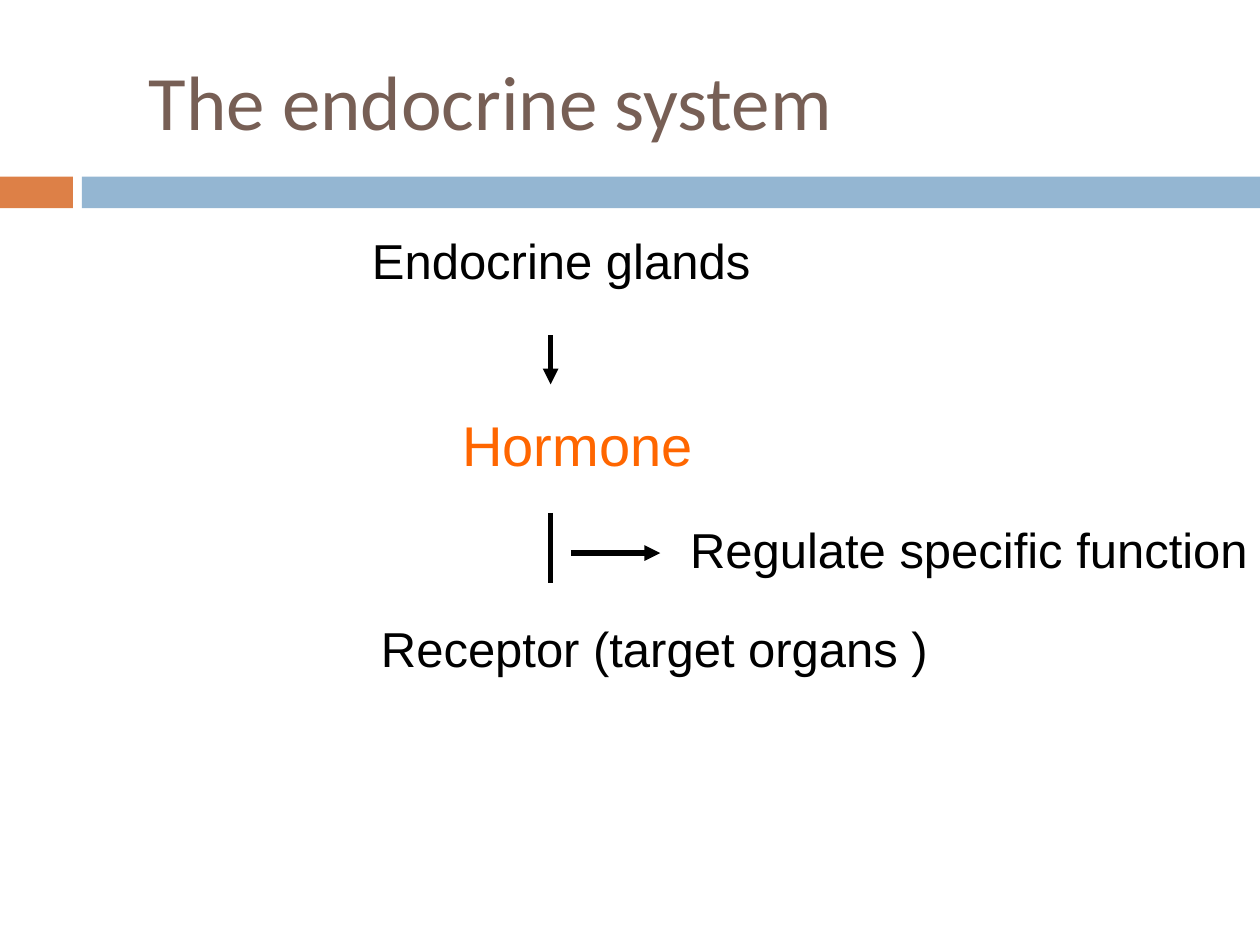
import pptx
import pptx.dml.color
import pptx.enum.shapes
import pptx.enum.text
import pptx.oxml
import pptx.oxml.ns
import pptx.util
from lxml import etree

Cm = pptx.util.Cm
RGBColor = pptx.dml.color.RGBColor
PP_ALIGN = pptx.enum.text.PP_ALIGN
MSO_ANCHOR = pptx.enum.text.MSO_ANCHOR

BROWN = RGBColor(0x77, 0x5F, 0x55)
RUST = RGBColor(0xDD, 0x80, 0x47)
BLUE = RGBColor(0x94, 0xB6, 0xD2)
ORANGE = RGBColor(0xFF, 0x66, 0x00)
BLACK = RGBColor(0x00, 0x00, 0x00)


def write_text(shape, text, alignment, font_name, size, color):
    text_frame = shape.text_frame
    text_frame.word_wrap = True
    paragraph = text_frame.paragraphs[0]
    paragraph.alignment = alignment
    run = paragraph.add_run()
    run.text = text
    run.font.name = font_name
    run.font.size = pptx.util.Pt(size)
    run.font.color.rgb = color


presentation = pptx.Presentation()
presentation.slide_width = Cm(25.4)
presentation.slide_height = Cm(19.05)
slide = presentation.slides.add_slide(presentation.slide_layouts[5])

# Band under the title
for left, width, color in [(0, 1.47, RUST), (1.65, 23.75, BLUE)]:
    bar = slide.shapes.add_shape(
        pptx.enum.shapes.MSO_SHAPE.RECTANGLE, Cm(left), Cm(3.56), Cm(width), Cm(0.64))
    bar.shadow.inherit = False
    bar.fill.solid()
    bar.fill.fore_color.rgb = color
    bar.line.fill.background()

# Title
title = slide.shapes.title
title.left, title.top, title.width, title.height = Cm(2.74), Cm(0.64), Cm(22.66), Cm(2.74)
title.text_frame.vertical_anchor = MSO_ANCHOR.MIDDLE
write_text(title, "The endocrine system", PP_ALIGN.LEFT, "Calibri", 44, BROWN)

# Steps of the pathway
steps = [
    ("Endocrine glands", 3.51, 4.52, 15.6, 1.45, PP_ALIGN.CENTER, 28, BLACK),
    ("Hormone", 8.71, 8.15, 5.51, 1.6, PP_ALIGN.RIGHT, 32, ORANGE),
    ("Regulate specific function", 13.21, 10.34, 12.19, 1.45, PP_ALIGN.RIGHT, 28, BLACK),
    ("Receptor (target organs )", 6.35, 12.34, 12.6, 1.45, PP_ALIGN.RIGHT, 28, BLACK),
]
for text, left, top, width, height, alignment, size, color in steps:
    step = slide.shapes.add_textbox(Cm(left), Cm(top), Cm(width), Cm(height))
    write_text(step, text, alignment, "Arial", size, color)

# Links between the steps
links = [
    (11.1, 6.76, 11.1, 7.75, True),
    (11.1, 10.34, 11.1, 11.76, False),
    (11.51, 11.15, 13.31, 11.15, True),
]
for start_x, start_y, end_x, end_y, has_arrowhead in links:
    link = slide.shapes.add_connector(
        pptx.enum.shapes.MSO_CONNECTOR.STRAIGHT,
        Cm(start_x), Cm(start_y), Cm(end_x), Cm(end_y))
    link.line.color.rgb = BLACK
    link.line.width = pptx.util.Pt(3)
    if has_arrowhead:
        line_properties = link.line._get_or_add_ln()
        etree.SubElement(line_properties, pptx.oxml.ns.qn("a:tailEnd"), type="triangle")
    etree.SubElement(link._element.spPr, pptx.oxml.ns.qn("a:effectLst"))

presentation.save("out.pptx")
